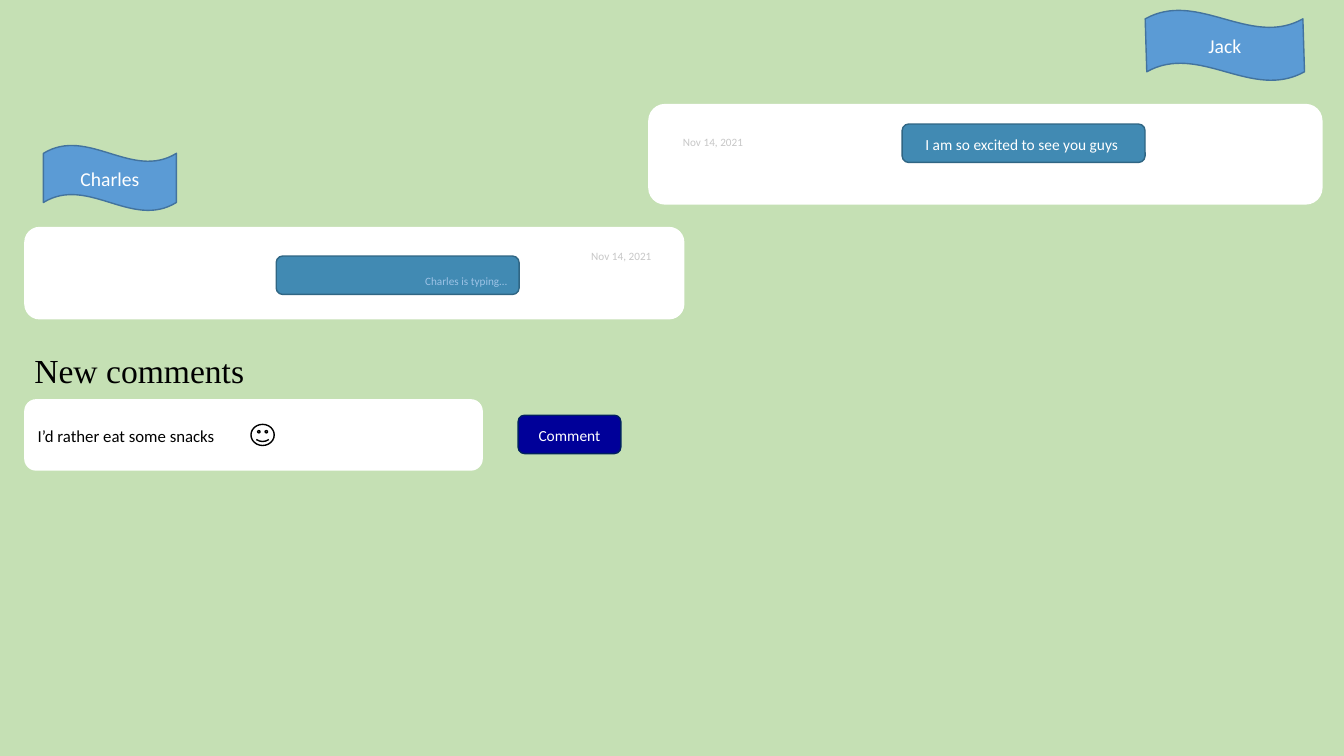
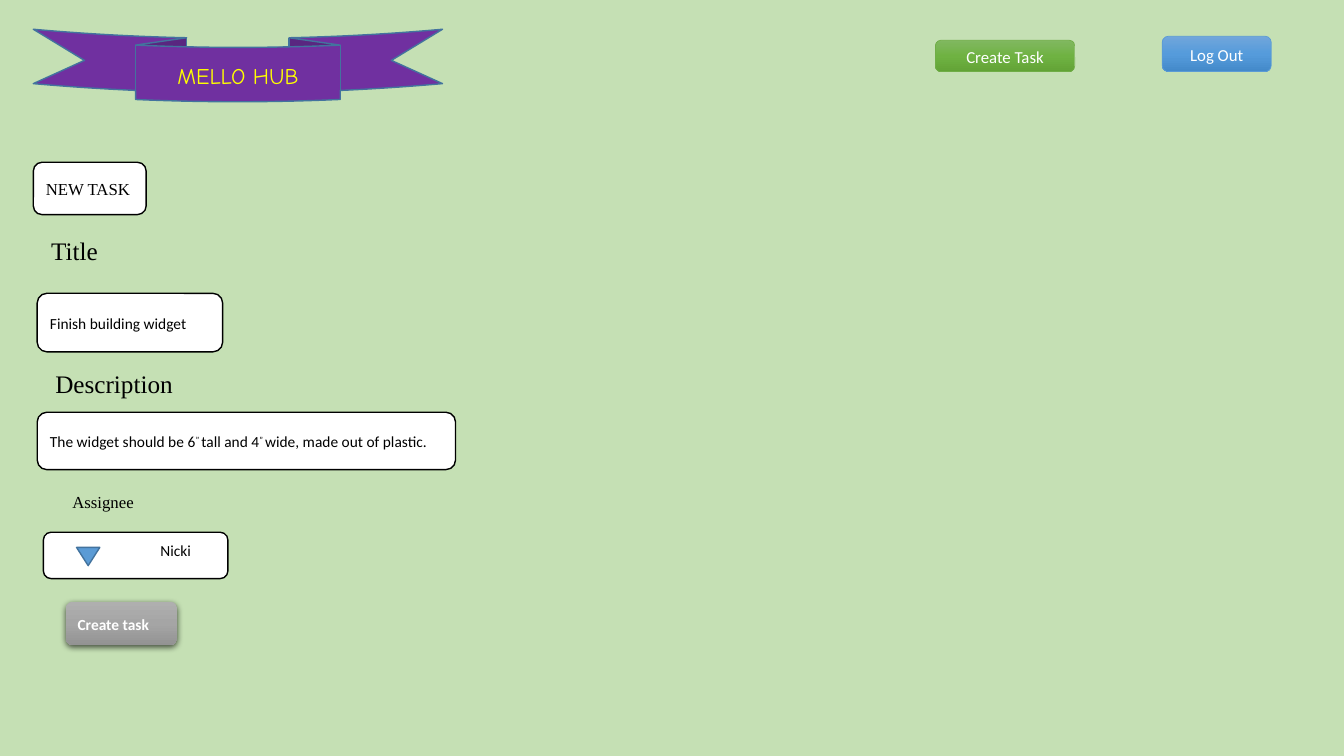
from copy import deepcopy
from lxml import etree
from pptx import Presentation
from pptx.dml.color import RGBColor
from pptx.enum.shapes import MSO_SHAPE
from pptx.enum.text import MSO_ANCHOR, MSO_AUTO_SIZE, PP_ALIGN
from pptx.oxml.ns import qn
from pptx.util import Pt

# Shared look
COLORS = {
    "page": "C5E0B4", "white": "FFFFFF", "black": "000000", "date": "C7C7C7",
    "flag": "5B9BD5", "flag_line": "43739E", "bubble": "418AB3",
    "bubble_line": "306684", "typing": "9DC3E6", "navy": "000099",
    "navy_line": "002060", "green": "70AD47", "purple": "7030A0",
    "yellow": "FFFF00",
}
GRADIENTS = {
    "green_fade": ("81B861", "6FB242", "62A336"),
    "blue_fade": ("71A6DB", "559BDB", "448ACA"),
    "grey_fade": ("AFAFAF", "A5A5A5", "939393"),
}
SANS, SERIF, COMIC = "Calibri", "Times New Roman", "Comic Neue"
ROUND = MSO_SHAPE.ROUNDED_RECTANGLE

# Style: shape, fill, line, line width, then text settings
STYLES = {
    "flag": (MSO_SHAPE.WAVE, "flag", "flag_line", 1, dict(size=14)),
    "card": (ROUND, "white", None, 0, {}),
    "date": (ROUND, "white", None, 0, dict(size=8, color="date")),
    "bubble": (ROUND, "bubble", "bubble_line", 1, {}),
    "typing": (ROUND, "bubble", "bubble_line", 1,
               dict(size=8, color="typing", align="r", anchor="b")),
    "reply": (ROUND, "white", None, 0, dict(size=12, color="black", align="l")),
    "smiley": (MSO_SHAPE.SMILEY_FACE, "white", "black", 1, {}),
    "post": (ROUND, "navy", "navy_line", 1, {}),
    "create": (ROUND, "green_fade", "green", 0.5, dict(size=12)),
    "logout": (ROUND, "blue_fade", "flag", 0.5, dict(size=12)),
    "heading": (ROUND, "white", "black", 1,
                dict(size=12, font=SERIF, color="black", align="l")),
    "field": (ROUND, "white", "black", 1, dict(color="black", align="l")),
    "choice": (ROUND, "white", "black", 1,
               dict(color="black", align="l", left=82, bottom=11)),
    "arrow": (MSO_SHAPE.FLOWCHART_MERGE, "flag", "flag_line", 1, {}),
    "submit": (ROUND, "grey_fade", None, 0, dict(align="l", bold=True)),
    "ribbon": (MSO_SHAPE.CURVED_DOWN_RIBBON, "purple", "flag_line", 1, {}),
}

# Content: style, (left, top, width, height), text; ^ wraps superscripts
BUBBLE, DATE = (173.5, 27.4), (65.5, 20.9)
CHAT = [
    ("flag", (818, 7.2, 113.8, 50.4), "Jack"),
    ("card", (463, 74.2, 481.7, 72), ""),
    ("bubble", (644.4, 88.6, *BUBBLE), "I am so excited to see you guys "),
    ("date", (476.6, 90.7, *DATE), "Nov 14, 2021"),
    ("card", (17.3, 162, 471.6, 66.2), ""),
    ("reply", (17.3, 285.1, 327.6, 51.1), "I’d rather eat some snacks "),
    ("smiley", (179.3, 303.1, 16.6, 15.1), ""),
    ("post", (370.1, 296.6, 73.4, 27.4), "Comment"),
    ("date", (411.1, 172.1, *DATE), "Nov 14, 2021"),
    ("flag", (31, 103.7, 95, 46.8), "Charles"),
    ("typing", (197.3, 182.9, *BUBBLE), "Charles is typing…"),
]
TASK = [
    ("create", (668.2, 28.8, 99.4, 22.3), "Create Task"),
    ("logout", (830.2, 25.9, 77.8, 25.2), "Log Out"),
    ("heading", (23.8, 115.9, 80.6, 37.4), "NEW TASK "),
    ("field", (26.6, 209.5, 132.5, 41.8), "Finish building widget"),
    ("field", (26.6, 294.5, 298.8, 41),
     "The widget should be 6^” ^tall and 4^” ^wide, made out of plastic."),
    ("choice", (31, 380.2, 131.8, 33.1), "Nicki"),
    ("arrow", (54.7, 391, 16.6, 13), ""),
    ("submit", (46.8, 429.8, 79.9, 31), "Create task"),
    ("ribbon", (23.8, 20.9, 292.3, 51.8), ""),
]
LABELS = [  # text, box, size, anchor
    ("Title", (29.5, 163.4, 60, 31), 18, "t"),
    ("Description", (32.4, 257.8, 110, 31), 18, "t"),
    ("Assignee ", (44.6, 345.8, 80, 24), 12, "m"),
]

ALIGN = {"l": PP_ALIGN.LEFT, "c": PP_ALIGN.CENTER, "r": PP_ALIGN.RIGHT}
ANCHOR = {"t": MSO_ANCHOR.TOP, "m": MSO_ANCHOR.MIDDLE, "b": MSO_ANCHOR.BOTTOM}


def rgb(name):
    return RGBColor.from_string(COLORS[name])


def write(sp, text, size=11, font=SANS, color="white", align="c",
          anchor="m", bold=False, left=7.2, bottom=3.6):
    tf = sp.text_frame
    tf.word_wrap = True
    tf.auto_size = MSO_AUTO_SIZE.NONE
    tf.vertical_anchor = ANCHOR[anchor]
    tf.margin_left, tf.margin_bottom = Pt(left), Pt(bottom)
    p = tf.paragraphs[0]
    p.alignment, p.line_spacing = ALIGN[align], 1.07
    p.font.size, p.font.name, p.font.bold = Pt(size), font, bold
    p.font.color.rgb = rgb(color)
    for i, part in enumerate(text.split("^")):
        r = p.add_run()
        r.text = part
        if i % 2:
            r._r.get_or_add_rPr().set("baseline", "30000")


def fade(sp, colors):
    sp.fill.gradient()
    sp.fill.gradient_angle = 270
    first, last = sp.fill.gradient_stops
    for stop, pos, color in ((first, 0, colors[0]), (last, 1, colors[2])):
        stop.position = pos
        stop.color.rgb = RGBColor.from_string(color)
    start = sp._element.spPr.find(".//" + qn("a:gs"))
    middle = deepcopy(start)
    middle.set("pos", "50000")
    middle.find(qn("a:srgbClr")).set("val", colors[1])
    start.addnext(middle)


def add_shadow(sp):
    effects = sp._element.spPr.find(qn("a:effectLst"))
    shadow = etree.SubElement(effects, qn("a:outerShdw"), blurRad=str(Pt(4.5)),
                              dist=str(Pt(1.5)), dir="5400000", rotWithShape="0")
    color = etree.SubElement(shadow, qn("a:srgbClr"), val=COLORS["black"])
    etree.SubElement(color, qn("a:alpha"), val="63000")


def add_part(s, style, box, text):
    shape, fill, line, width, look = STYLES[style]
    sp = s.shapes.add_shape(shape, *map(Pt, box))
    sp.shadow.inherit = False
    if fill in GRADIENTS:
        fade(sp, GRADIENTS[fill])
    else:
        sp.fill.solid()
        sp.fill.fore_color.rgb = rgb(fill)
    if line:
        sp.line.color.rgb = rgb(line)
        sp.line.width = Pt(width)
    else:
        sp.line.fill.background()
    if style == "submit":
        add_shadow(sp)
    if text:
        write(sp, text, **look)
    return sp


def add_slide(parts, title, box, **look):
    s = prs.slides.add_slide(prs.slide_layouts[5])
    shapes = [add_part(s, *part) for part in parts]
    heading = s.shapes.title
    heading.left, heading.top, heading.width, heading.height = map(Pt, box)
    write(heading, title, **look)
    s.shapes._spTree.append(heading._element)  # bring the title to the front
    return s, shapes


prs = Presentation()
prs.slide_width, prs.slide_height = Pt(960), Pt(540)
background = prs.slide_master.background.fill
background.solid()
background.fore_color.rgb = rgb("page")

# Slide 1: chat
s, shapes = add_slide(CHAT, "New comments", (17.3, 244.1, 180, 38.2), size=24,
                      font=SERIF, color="black", align="l", anchor="t")
shapes[0].adjustments[1] = 0.005  # Jack's flag leans slightly

# Slide 2: new task form
s, shapes = add_slide(TASK, "MELLO HUB", (97, 35.6, 146, 36), size=16,
                      font=COMIC, color="yellow")
for text, box, size, anchor in LABELS:
    label = s.shapes.add_textbox(*map(Pt, box))
    write(label, text, size, SERIF, "black", "l", anchor)

prs.save("out.pptx")
